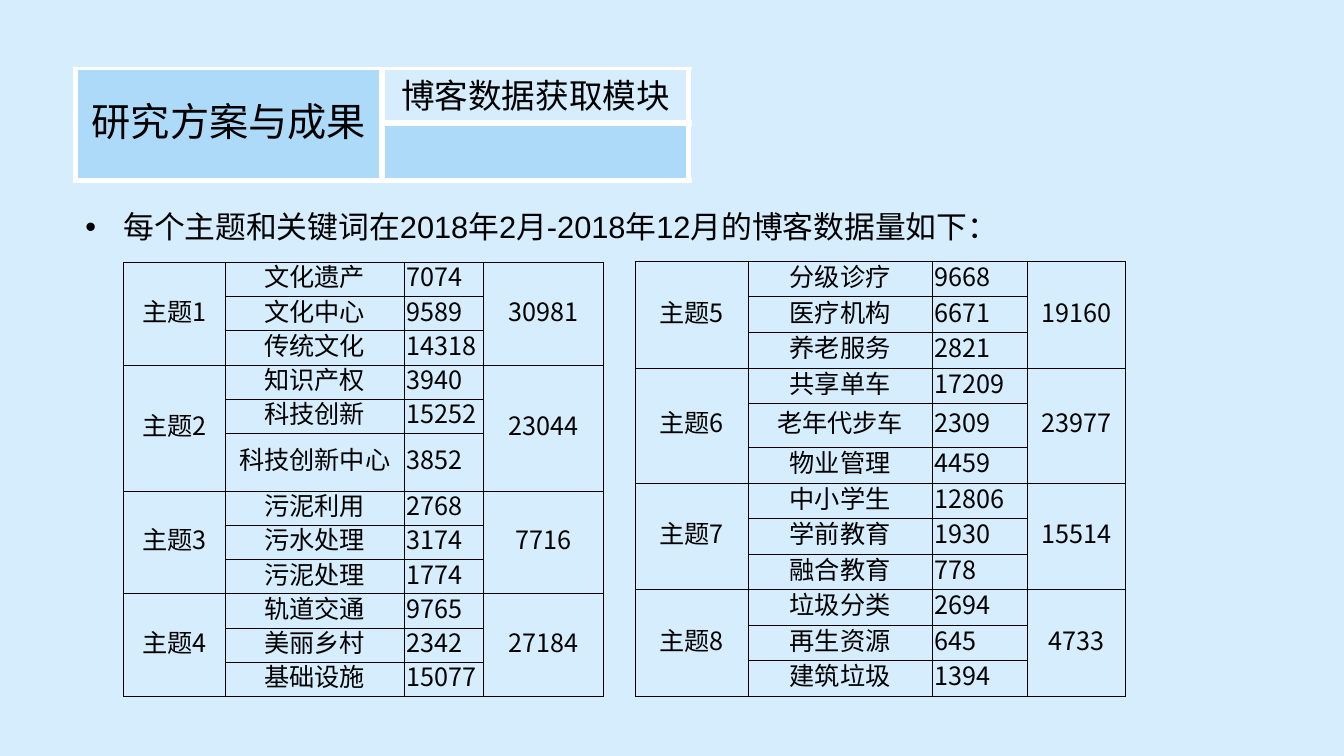
from lxml import etree
from pptx import Presentation
from pptx.dml.color import RGBColor
from pptx.enum.text import MSO_ANCHOR, PP_ALIGN
from pptx.oxml.ns import qn
from pptx.util import Pt

CENTER, LEFT = PP_ALIGN.CENTER, PP_ALIGN.LEFT
MIDDLE, BOTTOM = MSO_ANCHOR.MIDDLE, MSO_ANCHOR.BOTTOM
BLACK = RGBColor(0x00, 0x00, 0x00)
WHITE = RGBColor(0xFF, 0xFF, 0xFF)
PALE_BLUE = RGBColor(0xD5, 0xED, 0xFC)
SKY_BLUE = RGBColor(0xAC, 0xDA, 0xF8)
CELL_FONT = "Noto Sans CJK SC"


def write(paragraph, text, size=18, font=CELL_FONT, align=LEFT, spacing=None):
    paragraph.alignment = align
    paragraph.line_spacing = spacing or Pt(round(size * 1.17))
    run = paragraph.add_run()
    run.text = text
    run.font.size = Pt(size)
    run.font.name = font
    run.font.color.rgb = BLACK
    east_asian = etree.SubElement(run.font._element, qn("a:ea"))
    east_asian.set("typeface", CELL_FONT)


def make_table(left, top, widths, heights, insets, color, line_widths, fill=None):
    frame = slide.shapes.add_table(len(heights), len(widths), Pt(left), Pt(top),
                                   Pt(sum(widths)), Pt(sum(heights)))
    table = frame.table
    table.first_row = table.horz_banding = False
    for column, width in zip(table.columns, widths):
        column.width = Pt(width)
    for row, height in zip(table.rows, heights):
        row.height = Pt(height)
    for cell in table.iter_cells():
        cell.margin_left = cell.margin_right = Pt(insets[0])
        cell.margin_top = cell.margin_bottom = Pt(insets[1])
        cell.vertical_anchor = MIDDLE
        properties = cell._tc.get_or_add_tcPr()
        for side, line_width in zip("LRTB", line_widths):
            border = etree.SubElement(properties, qn("a:ln" + side), w=str(Pt(line_width)))
            solid = etree.SubElement(border, qn("a:solidFill"))
            etree.SubElement(solid, qn("a:srgbClr"), val=str(color))
        if fill is None:
            cell.fill.background()
        else:
            cell.fill.solid()
            cell.fill.fore_color.rgb = fill
    return table


prs = Presentation()
prs.slide_width, prs.slide_height = Pt(960), Pt(540)
slide = prs.slides.add_slide(prs.slide_layouts[6])
slide.background.fill.solid()
slide.background.fill.fore_color.rgb = PALE_BLUE

intro = slide.shapes.add_textbox(Pt(54), Pt(131.8), Pt(767.5), Pt(77.8)).text_frame
intro.word_wrap = True
intro_line = intro.paragraphs[0]
write(intro_line, "每个主题和关键词在2018年2月-2018年12月的博客数据量如下：",
      size=22, font="Arial", spacing=1.5)
bullet_format = intro_line._p.get_or_add_pPr()
bullet_format.set("marL", str(Pt(27)))
bullet_format.set("indent", str(Pt(-27)))
etree.SubElement(bullet_format, qn("a:buFont"), typeface="Arial")
etree.SubElement(bullet_format, qn("a:buChar"), char="•")

culture_topics = [
    ("主题1", "30981", [("文化遗产", "7074"), ("文化中心", "9589"), ("传统文化", "14318")]),
    ("主题2", "23044", [("知识产权", "3940"), ("科技创新", "15252"), ("科技创新中心", "3852")]),
    ("主题3", "7716", [("污泥利用", "2768"), ("污水处理", "3174"), ("污泥处理", "1774")]),
    ("主题4", "27184", [("轨道交通", "9765"), ("美丽乡村", "2342"), ("基础设施", "15077")]),
]
service_topics = [
    ("主题5", "19160", [("分级诊疗", "9668"), ("医疗机构", "6671"), ("养老服务", "2821")]),
    ("主题6", "23977", [("共享单车", "17209"), ("老年代步车", "2309"), ("物业管理", "4459")]),
    ("主题7", "15514", [("中小学生", "12806"), ("学前教育", "1930"), ("融合教育", "778")]),
    ("主题8", "4733", [("垃圾分类", "2694"), ("再生资源", "645"), ("建筑垃圾", "1394")]),
]
count_tables = [
    (88.3, 187.2, [72.7, 127.6, 56.7, 85.7], [24.5] * 5 + [41] + [24.5] * 6, culture_topics),
    (453.7, 186.6, [80.8, 131.2, 67.9, 70.2], [25.4] * 4 + [31.3] + [25.4] * 7, service_topics),
]
for left, top, widths, heights, topics in count_tables:
    counts = make_table(left, top, widths, heights, (2, 1.4), BLACK, [0.5] * 4)
    for index, (topic, total, keywords) in enumerate(topics):
        first = index * len(keywords)
        last = first + len(keywords) - 1
        for column, text in ((0, topic), (3, total)):
            merged = counts.cell(first, column)
            merged.merge(counts.cell(last, column))
            write(merged.text_frame.paragraphs[0], text, align=CENTER)
        for row, (keyword, count) in enumerate(keywords, first):
            write(counts.cell(row, 1).text_frame.paragraphs[0], keyword, align=CENTER)
            write(counts.cell(row, 2).text_frame.paragraphs[0], count)

header = make_table(54, 49, [219, 219], [39, 41], (7.2, 3.6), WHITE,
                    [4.5, 4.5, 3, 4.5], SKY_BLUE)
section = header.cell(0, 0)
section.merge(header.cell(1, 0))
write(section.text_frame.paragraphs[0], "研究方案与成果", size=28, align=CENTER)
module = header.cell(0, 1)
module.fill.background()
module.vertical_anchor = BOTTOM
write(module.text_frame.paragraphs[0], "博客数据获取模块", size=24, align=CENTER)

prs.save("out.pptx")
